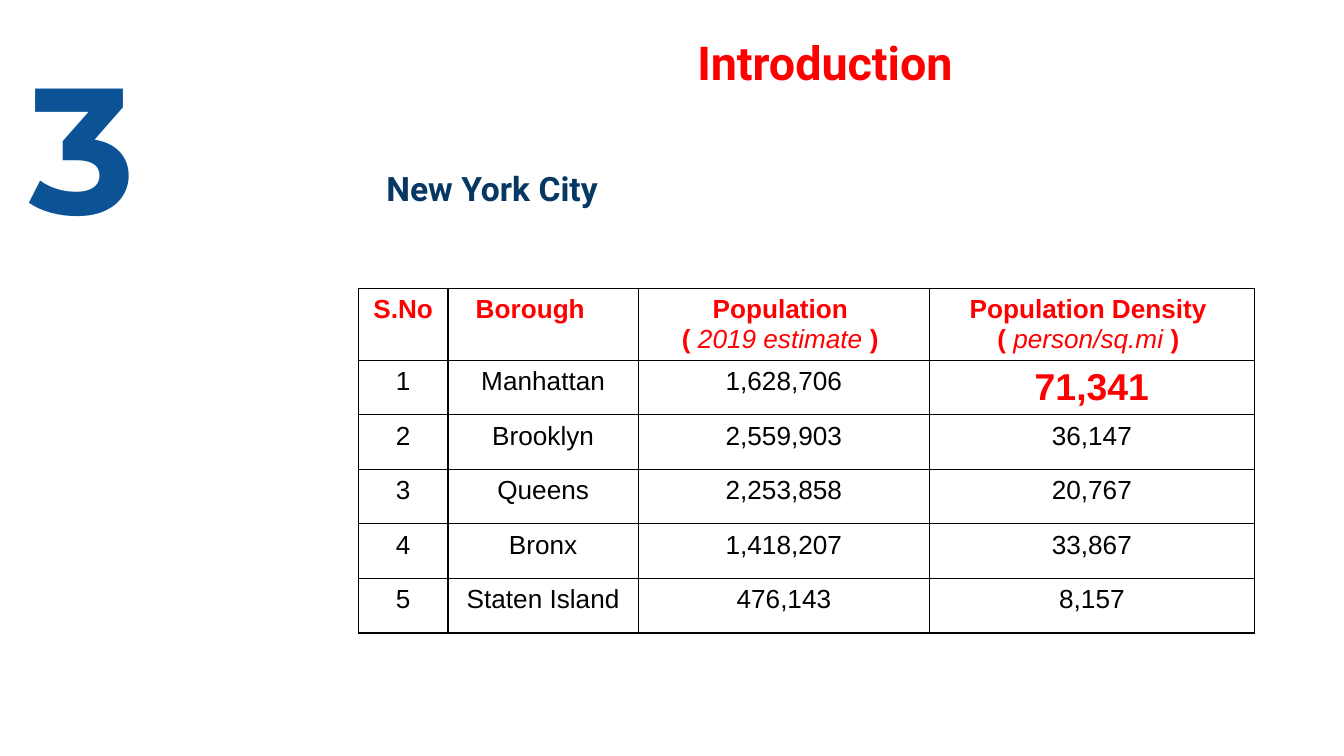
"""Build the introduction slide with the New York City borough table."""
from dataclasses import dataclass

from lxml import etree
from pptx import Presentation
from pptx.dml.color import RGBColor
from pptx.enum import text as t
from pptx.oxml import ns
from pptx.util import Pt


@dataclass(frozen=True)
class Theme:
    red: str = "FF0000"
    navy: str = "073763"
    blue: str = "0B5394"
    black: str = "000000"
    head: str = "Roboto"
    body: str = "Arial"
    digit: str = "Montserrat"
    title: float = 25
    sub: float = 18
    big: float = 96
    cell: float = 14
    peak: float = 20
    rule: float = 0.75


def style(font, name, size, color, bold=False):
    font.name, font.size, font.bold = name, Pt(size), bold
    font.color.rgb = RGBColor.from_string(color)


def edge(cell, color, width):
    props = cell._tc.get_or_add_tcPr()
    for side in ("lnL", "lnR", "lnT", "lnB"):
        line = etree.SubElement(props, ns.qn(f"a:{side}"), w=str(Pt(width)))
        fill = etree.SubElement(line, ns.qn("a:solidFill"))
        etree.SubElement(fill, ns.qn("a:srgbClr"), val=color)


look = Theme()
deck = Presentation()
deck.slide_width, deck.slide_height = Pt(720), Pt(405)
slide = deck.slides.add_slide(deck.slide_layouts[5])

title = slide.shapes.title
sub = slide.shapes.add_textbox(0, 0, 0, 0)
digit = slide.shapes.add_textbox(0, 0, 0, 0)
boxes = [
    (title, "Introduction", (194, 11, 490, 50), 13, look.head, look.title, look.red, t.PP_ALIGN.CENTER),
    (sub, "New York City", (194, 83, 490, 38), 13, look.head, look.sub, look.navy, t.PP_ALIGN.LEFT),
    (digit, "3", (8.5, 11.5, 142.5, 98.5), 7.2, look.digit, look.big, look.blue, t.PP_ALIGN.LEFT),
]
for box, words, place, inset, face, size, color, align in boxes:
    box.left, box.top, box.width, box.height = map(Pt, place)
    frame = box.text_frame
    frame.text = words
    frame.word_wrap = True
    frame.auto_size = t.MSO_AUTO_SIZE.NONE
    frame.vertical_anchor = t.MSO_ANCHOR.TOP
    frame.margin_left = Pt(inset)
    frame.margin_right = frame.margin_top = frame.margin_bottom = Pt(7.2)
    para = frame.paragraphs[0]
    para.alignment = align
    style(para.font, face, size, color, True)

heads = [("S.No", ""), ("Borough", ""),
         ("Population ", "2019 estimate "), ("Population Density ", "person/sq.mi ")]
rows = [
    ("1", "Manhattan", "1,628,706", "71,341"),
    ("2", "Brooklyn", "2,559,903", "36,147"),
    ("3", "Queens", "2,253,858", "20,767"),
    ("4", "Bronx", "1,418,207", "33,867"),
    ("5", "Staten Island", "476,143", "8,157"),
]
widths = [48, 102, 156, 174]
highs = [38.5] + [29.25] * len(rows)
grid = slide.shapes.add_table(len(highs), len(widths), Pt(192), Pt(154.5),
                              Pt(sum(widths)), Pt(sum(highs))).table
grid.first_row = grid.horz_banding = False
for col, width in zip(grid.columns, widths):
    col.width = Pt(width)
for row, high in zip(grid.rows, highs):
    row.height = Pt(high)

for cell in grid.iter_cells():
    edge(cell, look.black, look.rule)
    cell.fill.background()
    cell.margin_top, cell.margin_bottom = Pt(3.6), Pt(2.5)

for cell, (name, unit) in zip(grid.rows[0].cells, heads):
    frame = cell.text_frame
    frame.text = name
    if unit:
        para = frame.add_paragraph()
        for part in ("( ", unit, ") "):
            run = para.add_run()
            run.text = part
            if part == unit:
                run.font.bold, run.font.italic = False, True
    for para in frame.paragraphs:
        para.alignment = t.PP_ALIGN.CENTER
        style(para.font, look.body, look.cell, look.red, True)
grid.cell(0, 1).margin_right = Pt(21)

for r, row in enumerate(rows, 1):
    for c, value in enumerate(row):
        cell = grid.cell(r, c)
        cell.text = value
        para = cell.text_frame.paragraphs[0]
        para.alignment = t.PP_ALIGN.CENTER
        style(para.font, look.body, look.cell, look.black)
style(grid.cell(1, 3).text_frame.paragraphs[0].font, look.body, look.peak, look.red, True)

deck.save("out.pptx")
